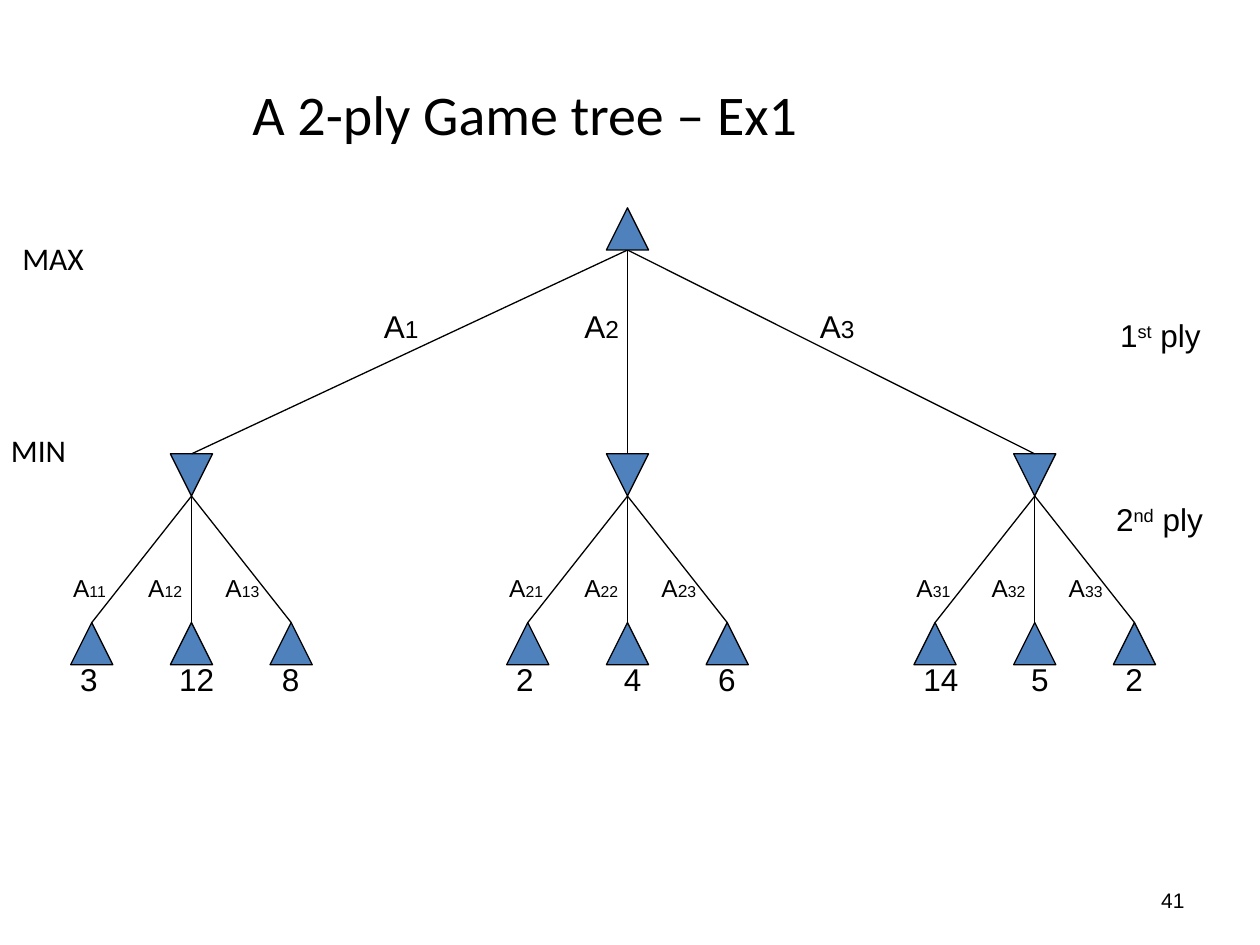
from lxml import etree
from pptx import Presentation
from pptx import util as u
from pptx.dml.color import RGBColor
from pptx.enum import shapes, text
from pptx.oxml.ns import qn

COLORS = {"ink": "000000", "node": "4F81BD"}
NODE = 0.85
LEAF_STEP = 2.01
LEAF_DROP = 3.4
GROUP_TOP = 9.15
GROUP_WIDTH = 2 * LEAF_STEP + NODE
MOVE_WIDTH = 1.25
ROOT = (12.65, 4.19)

GROUPS = [
    (3.86, ["3", "12", "8"]),
    (12.65, ["2", "4", "6"]),
    (20.86, ["14", "5", "2"]),
]
MOVE_LEFTS = [7.49, 11.53, 16.28]
LEVELS = [("MAX", 0.2, 4.7), ("MIN", -0.03, 8.56)]
PLIES = [("1", "st", 22.33, 6.25, 2.13), ("2", "nd", 22.25, 9.96, 2.26)]


def color(name):
    return RGBColor.from_string(COLORS[name])


def add_run(p, words, size, font="Arial", raised=False):
    r = p.add_run()
    r.text = words
    r.font.size = u.Pt(size)
    r.font.name = font
    r.font.color.rgb = color("ink")
    if raised:
        r.font._element.set("baseline", "30000")


def add_label(parent, box, runs, align=text.PP_ALIGN.LEFT, wrap=False,
              anchor=text.MSO_ANCHOR.TOP):
    sp = parent.add_textbox(*map(u.Cm, box))
    tf = sp.text_frame
    tf.word_wrap = wrap
    if not wrap:
        tf.auto_size = text.MSO_AUTO_SIZE.SHAPE_TO_FIT_TEXT
    tf.vertical_anchor = anchor
    p = tf.paragraphs[0]
    p.alignment = align
    for run in runs:
        add_run(p, *run)


def add_node(parent, center, top, is_min=False):
    sp = parent.add_shape(shapes.MSO_SHAPE.ISOSCELES_TRIANGLE,
                          u.Cm(center - NODE / 2), u.Cm(top), u.Cm(NODE), u.Cm(NODE))
    sp.shadow.inherit = False
    sp.fill.solid()
    sp.fill.fore_color.rgb = color("node")
    sp.line.color.rgb = color("ink")
    sp.line.width = u.Pt(0.75)
    if is_min:
        sp._element.spPr.find(qn("a:xfrm")).set("flipV", "1")


def add_branch(parent, start, end):
    c = parent.add_connector(shapes.MSO_CONNECTOR.STRAIGHT, *map(u.Cm, start + end))
    c.line.color.rgb = color("ink")
    c.line.width = u.Pt(0.75)
    etree.SubElement(c._element.spPr, qn("a:effectLst"))


def add_title(slide, left, top, width, height):
    sp = slide.shapes.title
    sp.left, sp.top, sp.width, sp.height = map(u.Cm, (left, top, width, height))
    tf = sp.text_frame
    tf.vertical_anchor = text.MSO_ANCHOR.TOP
    p = tf.paragraphs[0]
    p.alignment = text.PP_ALIGN.CENTER
    add_run(p, "A 2-ply Game tree – Ex1", 32, "Calibri")


def add_min_group(slide, left, top, number, values):
    parent = slide.shapes.add_group_shape().shapes
    centers = [left + NODE / 2 + i * LEAF_STEP for i in range(3)]
    middle = centers[1]
    leaf_top = top + LEAF_DROP
    add_node(parent, middle, top, is_min=True)
    for center in centers:
        add_node(parent, center, leaf_top)
        add_branch(parent, (middle, top + NODE), (center, leaf_top))

    for i, (value, value_left, label_left) in enumerate(
            zip(values, (-0.06, None, 4.01), (-0.2, 1.28, 2.87))):
        align = text.PP_ALIGN.CENTER if i == 1 else text.PP_ALIGN.LEFT
        width = 0.5 + 0.36 * len(value)
        if value_left is None:
            value_left = 2.54 - width / 2
        add_label(parent, (left + value_left, top + 4.03, width, 1.02),
                  [(value, 18)], align)
        move = f"{number}{i + 1}"
        digits = [("2", 10), ("3", 9)] if move == "23" else [(move, 9)]
        add_label(parent, (left + label_left, top + 2.28, MOVE_WIDTH, 0.86),
                  [("A", 14)] + digits, align)


def add_root(slide, center, top):
    for child, _ in GROUPS:
        add_branch(slide.shapes, (center, top + NODE), (child, GROUP_TOP))
    for i, left in enumerate(MOVE_LEFTS, 1):
        add_label(slide.shapes, (left, top + 1.88, MOVE_WIDTH, 1.02),
                  [("A", 18), (str(i), 14)])
    add_node(slide.shapes, center, top)


def add_side_labels(slide):
    for name, left, top in LEVELS:
        add_label(slide.shapes, (left, top, 2.64, 1.02), [(name, 18, "Calibri")], wrap=True)
    for digit, suffix, left, top, width in PLIES:
        add_label(slide.shapes, (left, top, width, 1.02),
                  [(digit, 18), (suffix, 18, "Arial", True), (" ply", 18)])


def main():
    prs = Presentation()
    prs.slide_width, prs.slide_height = u.Cm(25.4), u.Cm(19.05)
    slide = prs.slides.add_slide(prs.slide_layouts[5])
    add_title(slide, 0.85, 1.48, 19.47, 1.9)
    for number, (center, values) in enumerate(GROUPS, 1):
        add_min_group(slide, center - GROUP_WIDTH / 2, GROUP_TOP, number, values)
    add_root(slide, *ROOT)
    add_side_labels(slide)
    add_label(slide.shapes, (18.2, 17.65, 5.93, 1.01), [("41", 12)],
              text.PP_ALIGN.RIGHT, True, text.MSO_ANCHOR.MIDDLE)
    prs.save("out.pptx")


if __name__ == "__main__":
    main()
